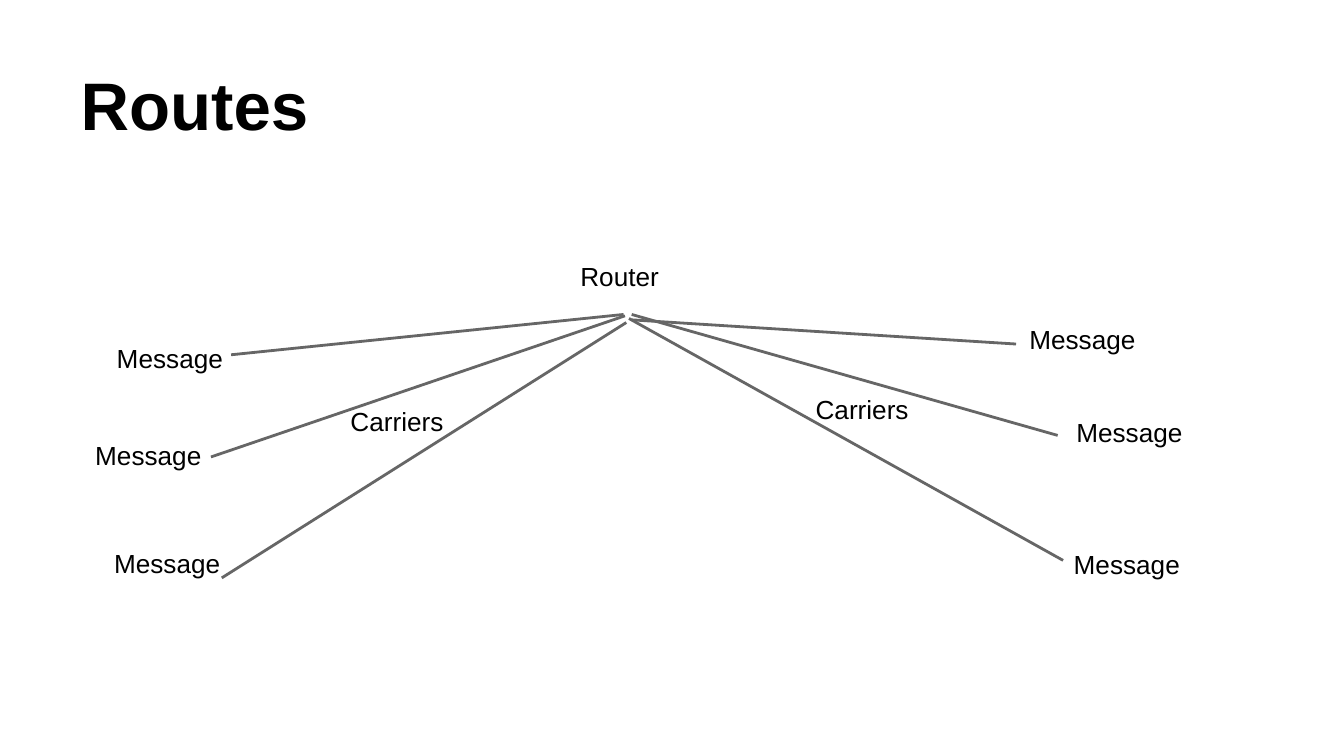
from dataclasses import dataclass

from lxml import etree
from pptx import Presentation
from pptx.dml.color import RGBColor
from pptx.enum import shapes, text
from pptx.oxml.ns import qn
from pptx.util import Inches, Pt


@dataclass(frozen=True)
class Theme:
    font: str = "Arial"
    ink: RGBColor = RGBColor(0, 0, 0)
    route: RGBColor = RGBColor(0x66, 0x66, 0x66)
    paper: RGBColor = RGBColor(0xFF, 0xFF, 0xFF)
    title_size: int = 36
    label_size: int = 14
    route_width: float = 1.5
    inset: float = 0.1


THEME = Theme()
SLIDE_WIDTH = Inches(10)
SLIDE_HEIGHT = SLIDE_WIDTH * 9 // 16
TITLE = ("Routes", (0.5, 0.23, 9, 0.94))
LABEL_HEIGHT = 0.5

# Each route: message end, router end
ROUTES = [
    ((7.56, 2.56), (4.7, 2.38)),
    ((7.87, 3.24), (4.7, 2.34)),
    ((7.91, 4.17), (4.68, 2.37)),
    ((1.72, 2.64), (4.64, 2.34)),
    ((1.57, 3.4), (4.65, 2.35)),
    ((1.65, 4.3), (4.66, 2.4)),
]

# Each label: text, box width, top-left corners
LABELS = [
    ("Router", 0.96, [(4.22, 1.84)]),
    ("Carriers", 0.96, [(5.97, 2.83), (2.51, 2.92)]),
    ("Message", 1.21, [(7.56, 2.31), (7.91, 3), (7.89, 3.98),
                       (0.77, 2.45), (0.61, 3.17), (0.75, 3.97)]),
]


def write(shape, wording, size, anchor, bold=False):
    frame = shape.text_frame
    frame.text = wording
    frame.word_wrap = True
    frame.auto_size = text.MSO_AUTO_SIZE.NONE
    frame.vertical_anchor = anchor
    frame.margin_left = frame.margin_right = Inches(THEME.inset)
    frame.margin_top = frame.margin_bottom = Inches(THEME.inset)
    paragraph = frame.paragraphs[0]
    paragraph.alignment = text.PP_ALIGN.LEFT
    font = paragraph.runs[0].font
    font.name, font.size, font.bold = THEME.font, Pt(size), bold
    font.color.rgb = THEME.ink


def add_title(slide):
    wording, box = TITLE
    title = slide.shapes.title
    title.left, title.top, title.width, title.height = map(Inches, box)
    write(title, wording, THEME.title_size, text.MSO_ANCHOR.BOTTOM, bold=True)


def add_route(slide, start, end):
    route = slide.shapes.add_connector(
        shapes.MSO_CONNECTOR.STRAIGHT, *map(Inches, start + end))
    route.line.color.rgb = THEME.route
    route.line.width = Pt(THEME.route_width)
    etree.SubElement(route._element.spPr, qn("a:effectLst"))


def add_label(slide, wording, corner, width):
    label = slide.shapes.add_textbox(
        *map(Inches, (*corner, width, LABEL_HEIGHT)))
    write(label, wording, THEME.label_size, text.MSO_ANCHOR.TOP)


def main():
    presentation = Presentation()
    presentation.slide_width = SLIDE_WIDTH
    presentation.slide_height = SLIDE_HEIGHT
    slide = presentation.slides.add_slide(presentation.slide_layouts[5])
    slide.background.fill.solid()
    slide.background.fill.fore_color.rgb = THEME.paper

    add_title(slide)
    for start, end in ROUTES:
        add_route(slide, start, end)
    for wording, width, corners in LABELS:
        for corner in corners:
            add_label(slide, wording, corner, width)

    presentation.save("out.pptx")


if __name__ == "__main__":
    main()
